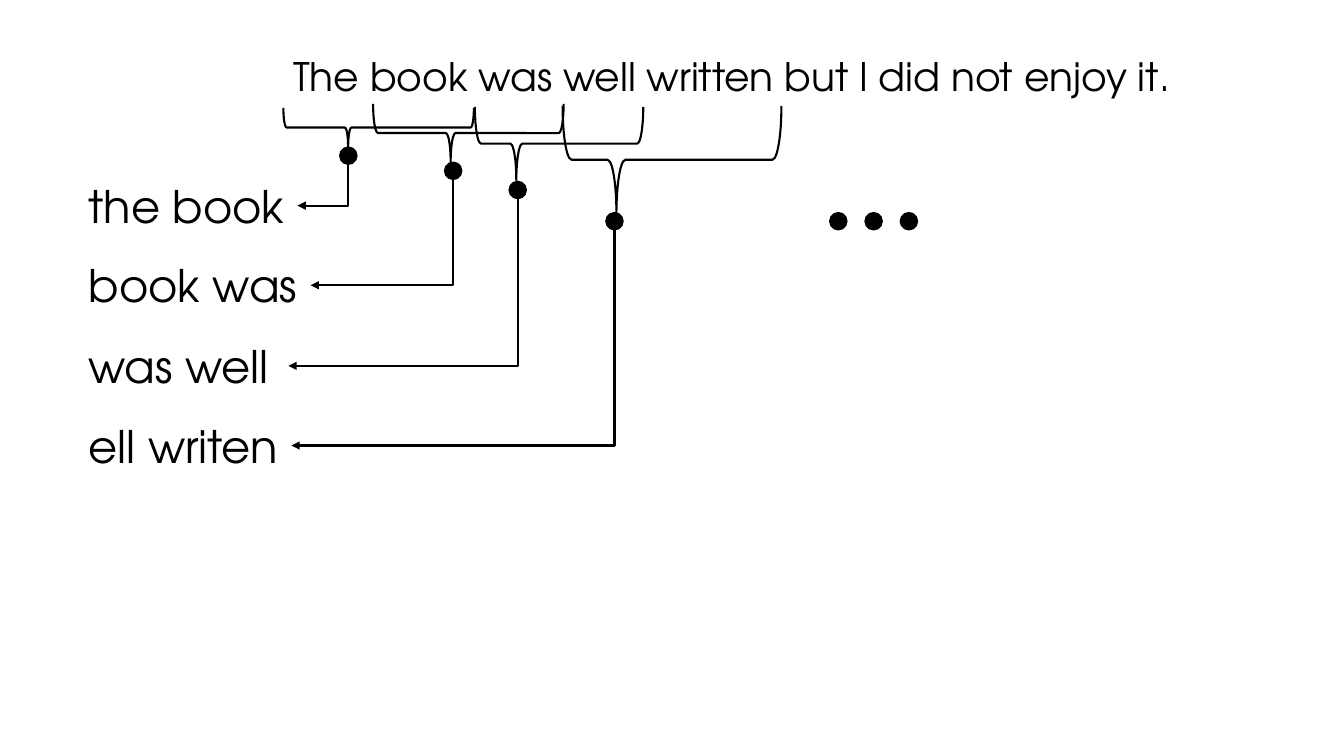
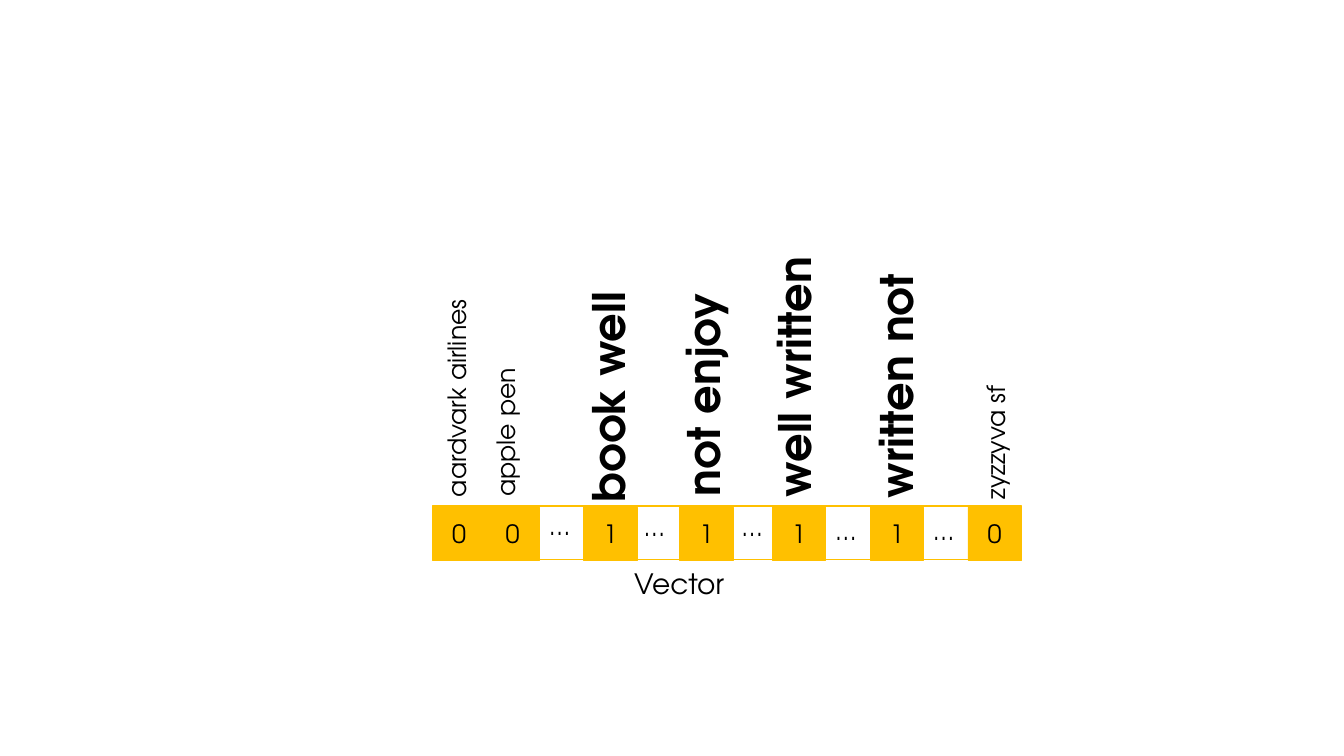
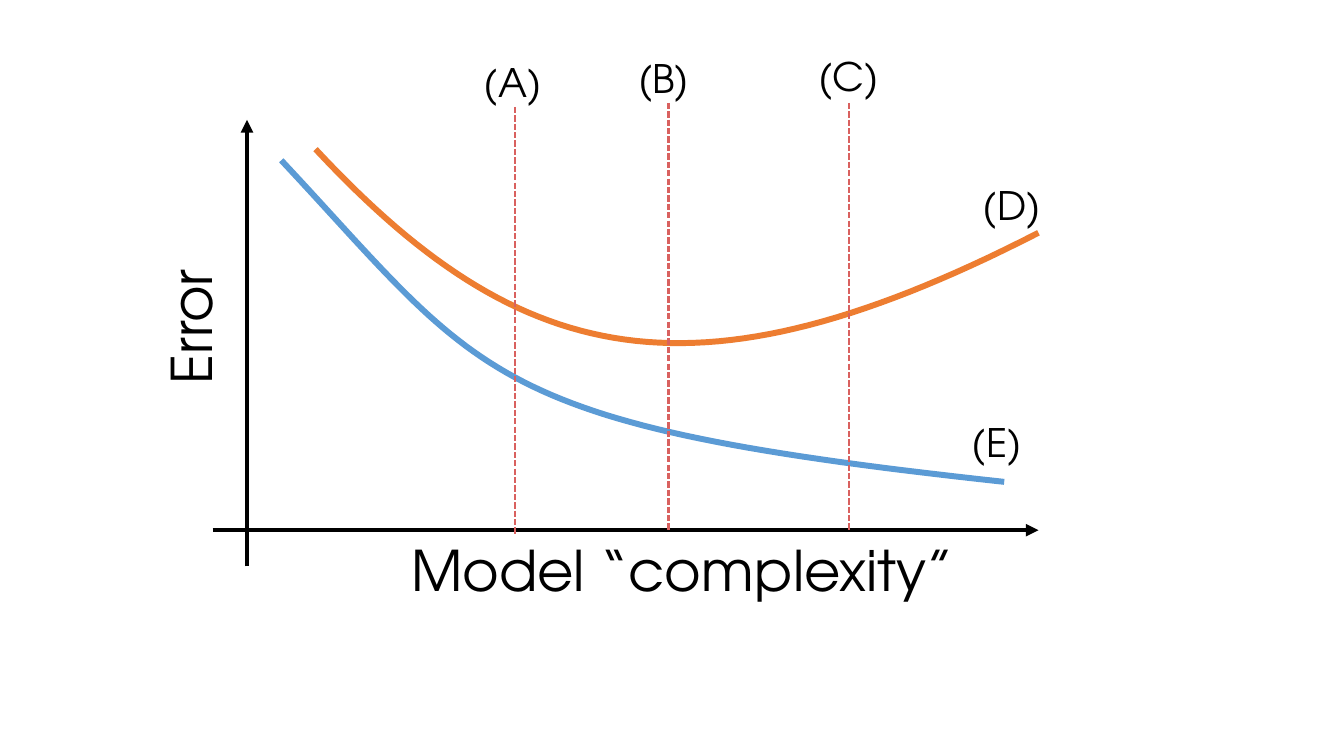
from lxml import etree
from pptx import Presentation
from pptx.dml.color import RGBColor
from pptx.enum.dml import MSO_LINE
from pptx.enum.shapes import MSO_CONNECTOR, MSO_SHAPE
from pptx.enum.text import MSO_ANCHOR, MSO_AUTO_SIZE, PP_ALIGN
from pptx.oxml.ns import qn
from pptx.util import Inches, Pt

FONT = "TeX Gyre Adventor"
BLACK = "000000"
WHITE = "FFFFFF"
GOLD = "FFC000"
BLUE = "5B9BD5"
ORANGE = "ED7D31"
RED = "D9615F"

RECTANGLE = MSO_SHAPE.RECTANGLE
OVAL = MSO_SHAPE.OVAL
RIGHT_BRACE = MSO_SHAPE.RIGHT_BRACE
STRAIGHT = MSO_CONNECTOR.STRAIGHT
ELBOW = MSO_CONNECTOR.ELBOW
SHORT_DASH = MSO_LINE.SQUARE_DOT
FIT_TEXT = MSO_AUTO_SIZE.SHAPE_TO_FIT_TEXT
MIDDLE = MSO_ANCHOR.MIDDLE
CENTER = PP_ALIGN.CENTER

DOT_SIZE = 0.17
CELL_SIZE = 0.53
PHRASE_HEIGHT = 0.64
CURVE_STEPS = 60


def color(value):
    return RGBColor.from_string(value)


def add_blank_slide(presentation):
    return presentation.slides.add_slide(presentation.slide_layouts[6])


def style_line(line, line_color, width):
    line.color.rgb = color(line_color)
    line.width = Pt(width)


def style_text(text_frame, text, size, bold=False):
    text_frame.text = text
    font = text_frame.paragraphs[0].runs[0].font
    font.name = FONT
    font.size = Pt(size)
    font.bold = bold
    font.color.rgb = color(BLACK)


def add_label(slide, text, left, top, width, height, size, bold=False, rotation=0):
    shape = slide.shapes.add_textbox(
        Inches(left), Inches(top), Inches(width), Inches(height))
    shape.rotation = rotation
    style_text(shape.text_frame, text, size, bold)
    shape.text_frame.word_wrap = False
    shape.text_frame.auto_size = FIT_TEXT


def add_filled(shapes, kind, left, top, width, height, fill, line_color, line_width):
    shape = shapes.add_shape(
        kind, Inches(left), Inches(top), Inches(width), Inches(height))
    shape.shadow.inherit = False
    shape.fill.solid()
    shape.fill.fore_color.rgb = color(fill)
    style_line(shape.line, line_color, line_width)
    return shape


def add_dot(shapes, left, top):
    add_filled(shapes, OVAL, left, top, DOT_SIZE, DOT_SIZE, BLACK, BLACK, 1)


def add_cell(slide, digit, left, top):
    shape = add_filled(slide.shapes, RECTANGLE, left, top, CELL_SIZE, CELL_SIZE,
                       GOLD, GOLD, 0.5)
    style_text(shape.text_frame, digit, 18)
    shape.text_frame.vertical_anchor = MIDDLE
    shape.text_frame.paragraphs[0].alignment = CENTER


def add_brace_below(slide, left, top, width, depth, point):
    shape = slide.shapes.add_shape(
        RIGHT_BRACE,
        Inches(left + (width - depth) / 2), Inches(top + (depth - width) / 2),
        Inches(depth), Inches(width))
    shape.rotation = 90
    shape.adjustments[0] = 0.083
    shape.adjustments[1] = point
    shape.shadow.inherit = False
    shape.fill.background()
    style_line(shape.line, BLACK, 1.5)


def add_line(slide, kind, start, end, line_color, width, arrow=False):
    connector = slide.shapes.add_connector(
        kind, Inches(start[0]), Inches(start[1]), Inches(end[0]), Inches(end[1]))
    style_line(connector.line, line_color, width)
    properties = connector._element.spPr
    if arrow:
        tail = etree.SubElement(properties.find(qn("a:ln")), qn("a:tailEnd"))
        tail.set("type", "triangle")
    etree.SubElement(properties, qn("a:effectLst"))
    return connector


def add_down_left_arrow(slide, start, end):
    across = start[0] - end[0]
    down = end[1] - start[1]
    left = (start[0] + end[0] - down) / 2
    top = (start[1] + end[1] - across) / 2
    connector = add_line(slide, ELBOW, (left, top), (left + down, top + across),
                         BLACK, 1.5, arrow=True)
    properties = connector._element.spPr
    properties.find(qn("a:xfrm")).set("rot", "5400000")
    properties.find(qn("a:prstGeom")).set("prst", "bentConnector2")


def curve_point(controls, t):
    weights = ((1 - t) ** 3, 3 * t * (1 - t) ** 2, 3 * t ** 2 * (1 - t), t ** 3)
    return tuple(
        Inches(sum(weight * control[axis] for weight, control in zip(weights, controls)))
        for axis in (0, 1))


def add_curve(slide, controls, line_color):
    points = [curve_point(controls, step / CURVE_STEPS)
              for step in range(CURVE_STEPS + 1)]
    builder = slide.shapes.build_freeform(*points[0])
    builder.add_line_segments(points[1:], close=False)
    shape = builder.convert_to_shape()
    shape.shadow.inherit = False
    shape.fill.background()
    style_line(shape.line, line_color, 4.25)


def build_bigram_slide(presentation):
    slide = add_blank_slide(presentation)
    add_label(slide, "The book was well written but I did not enjoy it.",
              2.81, 0.47, 9.04, 0.57, 28)
    bigrams = [
        ("the book", 1.72, 2.17, (2.81, 1.07, 1.89, 0.39, 0.66), (3.37, 1.46)),
        ("book was", 2.51, 2.3, (3.7, 1.03, 1.89, 0.58, 0.593), (4.41, 1.61)),
        ("was well", 3.31, 2.08, (4.71, 1.06, 1.67, 0.73, 0.754), (5.05, 1.8)),
        ("ell writen", 4.1, 2.11, (5.58, 1.05, 2.17, 1.07, 0.754), (6.01, 2.11)),
    ]
    phrase_left = 0.78
    for phrase, top, width, brace, (dot_left, dot_top) in bigrams:
        add_label(slide, phrase, phrase_left, top, width, PHRASE_HEIGHT, 32)
        add_brace_below(slide, *brace)
        add_down_left_arrow(
            slide,
            (dot_left + DOT_SIZE / 2, dot_top + DOT_SIZE),
            (phrase_left + width, top + PHRASE_HEIGHT / 2))
        add_dot(slide.shapes, dot_left, dot_top)
    ellipsis = slide.shapes.add_group_shape()
    for index in range(3):
        add_dot(ellipsis.shapes, 8.23 + 0.35 * index, 2.11)


def build_vector_slide(presentation):
    slide = add_blank_slide(presentation)
    present_bigrams = [
        ("book well", 4.87, 3.6, 2.32),
        ("not enjoy", 5.85, 3.58, 2.24),
        ("well written", 6.56, 3.39, 2.64),
        ("written not", 7.63, 3.47, 2.51),
    ]
    for text, left, top, width in present_bigrams:
        add_label(slide, text, left, top, width, PHRASE_HEIGHT, 32, True, 270)
    absent_bigrams = [
        ("aardvark airlines", 3.43, 3.73, 2.2),
        ("apple pen", 4.27, 4.08, 1.49),
        ("zyzzyva sf", 9.2, 4.18, 1.35),
    ]
    for text, left, top, width in absent_bigrams:
        add_label(slide, text, left, top, width, 0.4, 18, rotation=270)

    add_filled(slide.shapes, RECTANGLE, 4.29, 5.02, 5.84, CELL_SIZE, WHITE, GOLD, 1)
    cell_lefts = (4.29, 4.82, 5.79, 6.74, 7.66, 8.63, 9.6)
    for digit, left in zip("0011110", cell_lefts):
        add_cell(slide, digit, left, 5.03)
    gaps = ((5.35, 5.01), (6.29, 5.02), (7.26, 5.02), (8.19, 5.06), (9.16, 5.06))
    for left, top in gaps:
        add_label(slide, "…", left, top, 0.44, 0.48, 18)
    add_label(slide, "Vector", 6.19, 5.57, 1.11, 0.52, 20)


def build_error_slide(presentation):
    slide = add_blank_slide(presentation)
    add_line(slide, STRAIGHT, (2.45, 5.62), (2.45, 1.19), BLACK, 3, arrow=True)
    add_line(slide, STRAIGHT, (2.11, 5.26), (10.3, 5.26), BLACK, 3, arrow=True)
    add_label(slide, "Model “complexity”", 3.98, 5.26, 5.65, 0.77, 40)
    add_label(slide, "Error", 1.2, 2.84, 1.38, 0.77, 40, rotation=270)
    add_curve(slide, ((2.79, 1.59), (4.82, 3.76), (4.78, 4.22), (9.96, 4.78)), BLUE)
    add_curve(slide, ((3.13, 1.48), (5.16, 3.66), (6.89, 4.06), (10.3, 2.31)), ORANGE)
    for x, top in ((5.11, 1.06), (6.63, 1.02), (8.42, 1.02)):
        marker = add_line(slide, STRAIGHT, (x, top), (x, top + 4.24), RED, 1.5)
        marker.line.dash_style = SHORT_DASH
    letters = [
        ("(A)", 4.7, 0.53, 0.81),
        ("(B)", 6.23, 0.49, 0.72),
        ("(C)", 8.02, 0.47, 0.81),
        ("(D)", 9.65, 1.75, 0.81),
        ("(E)", 9.54, 4.1, 0.7),
    ]
    for text, left, top, width in letters:
        add_label(slide, text, left, top, width, 0.57, 28)


def main():
    presentation = Presentation()
    presentation.slide_width = Inches(13.33)
    presentation.slide_height = Inches(7.5)
    build_bigram_slide(presentation)
    build_vector_slide(presentation)
    build_error_slide(presentation)
    presentation.save("out.pptx")


if __name__ == "__main__":
    main()
